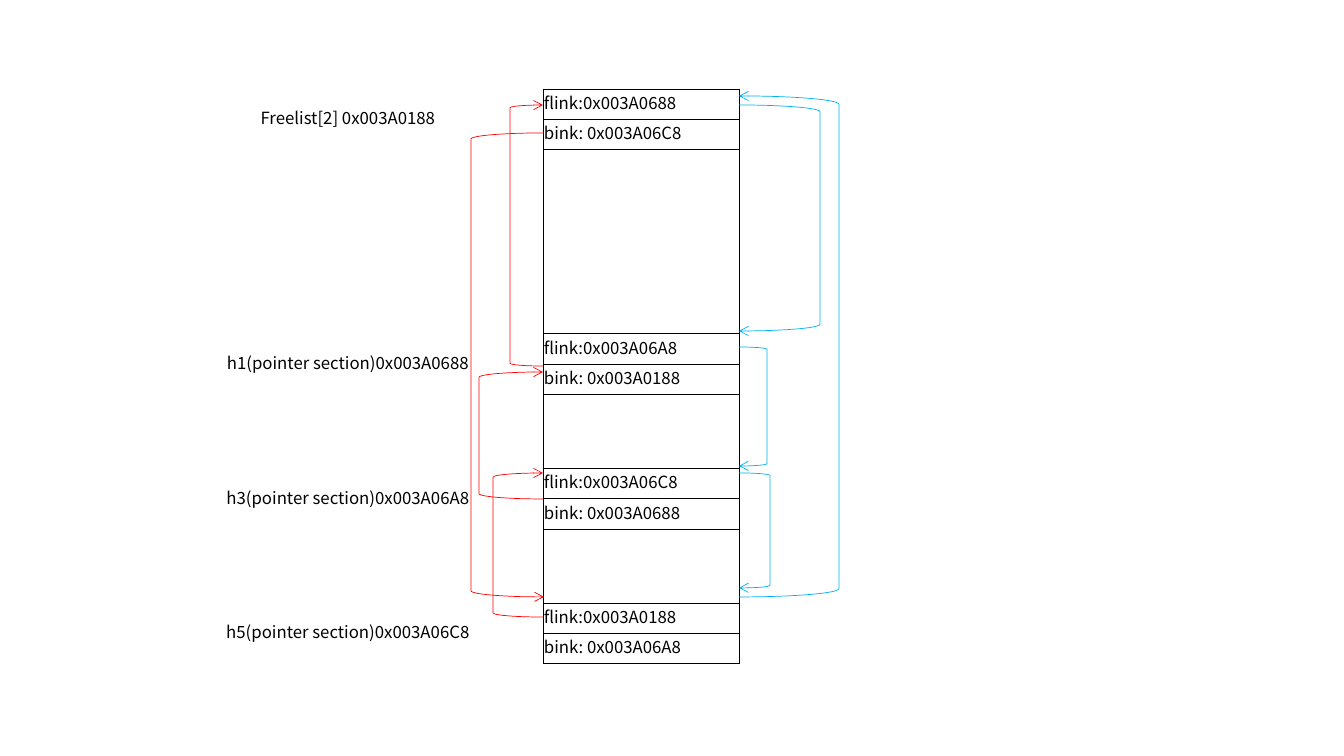
from pptx import Presentation
from pptx.dml.color import RGBColor
from pptx.enum.shapes import MSO_SHAPE
from pptx.enum.text import MSO_ANCHOR, PP_ALIGN
from pptx.oxml import parse_xml
from pptx.oxml.ns import nsdecls, qn
from pptx.util import Pt

THEME = {
    "font": "Noto Sans CJK SC", "size": Pt(12), "line": Pt(0.5),
    "ink": "000000", "flink": "00B0F0", "bink": "FF0000",
}

# label, flink, bink, empty rows below, height of that gap
NODES = [
    ("Freelist[2] 0x003A0188", "flink:0x003A0688", "bink: 0x003A06C8", 5, 184),
    ("h1(pointer section)0x003A0688", "flink:0x003A06A8", "bink: 0x003A0188", 2, 74),
    ("h3(pointer section)0x003A06A8", "flink:0x003A06C8", "bink: 0x003A0688", 2, 74),
    ("h5(pointer section)0x003A06C8", "flink:0x003A0188", "bink: 0x003A06A8", 0, 0),
]

# kind of link, left, top, width, height, arrow points down
LINKS = [
    ("bink", 510, 105, 33, 261, False),
    ("flink", 739, 347, 28, 119, True),
    ("bink", 493, 473, 50, 144, False),
    ("flink", 739, 96, 100, 501, False),
    ("bink", 479, 372, 64, 127, False),
    ("flink", 739, 473, 31, 115, True),
    ("flink", 739, 105, 81, 226, True),
    ("bink", 471, 133, 73, 464, True),
]

TABLE_LEFT, TABLE_TOP = 153, 89
COLUMNS = [195, 195, 196]
TEXT_ROW = 26
MEMORY = 2
NO_STYLE = "{2D5ABB26-0587-4C30-8999-92F81FD0307C}"


def px(n):
    """Turn slide pixels into EMU."""
    return round(n * 914400 / 100.8)


def add_borders(cell, sides):
    """Draw thin lines on the given sides of a cell."""
    tcPr = cell._tc.get_or_add_tcPr()
    for i, side in enumerate(sides):
        tcPr.insert(i, parse_xml(
            f'<a:ln{side} {nsdecls("a")} w="{THEME["line"]}"><a:solidFill>'
            f'<a:srgbClr val="{THEME["ink"]}"/></a:solidFill></a:ln{side}>'))


def format_cell(cell, sides):
    """Set insets, fill, borders and the height of the empty line."""
    cell.margin_left = cell.margin_right = cell.margin_top = px(1)
    cell.margin_bottom = px(5)
    cell.vertical_anchor = MSO_ANCHOR.MIDDLE
    cell.fill.background()
    add_borders(cell, sides)
    p = cell.text_frame.paragraphs[0]
    p._p.append(parse_xml(
        f'<a:endParaRPr {nsdecls("a")} sz="{int(THEME["size"].pt * 100)}"/>'))


def write(cell, text, align=PP_ALIGN.LEFT):
    """Write one line in a cell."""
    p = cell.text_frame.paragraphs[0]
    p.text = text
    p.alignment = align
    f = p.runs[0].font
    f.name, f.size = THEME["font"], THEME["size"]
    f.color.rgb = RGBColor.from_string(THEME["ink"])


def add_memory_table(s):
    """Build the table of list nodes and the gaps between them."""
    heights = []
    for *_, count, gap in NODES:
        heights += [TEXT_ROW] * 2 + [gap / count for _ in range(count)]
    gf = s.shapes.add_table(len(heights), len(COLUMNS), px(TABLE_LEFT), px(TABLE_TOP),
                            px(sum(COLUMNS)), px(sum(heights)))
    table = gf.table
    table.first_row = table.horz_banding = False
    table._tbl.tblPr.find(qn("a:tableStyleId")).text = NO_STYLE
    for column, width in zip(table.columns, COLUMNS):
        column.width = px(width)
    for row, height in zip(table.rows, heights):
        row.height = px(height)
        for cell, sides in zip(row.cells, ("", "R", "LRTB")):
            format_cell(cell, sides)

    top = 0
    for label, flink, bink, count, _ in NODES:
        table.cell(top, 0).merge(table.cell(top + 1, 1))
        write(table.cell(top, 0), label, PP_ALIGN.CENTER)
        write(table.cell(top, MEMORY), flink)
        write(table.cell(top + 1, MEMORY), bink)
        if count:
            table.cell(top + 2, MEMORY).merge(table.cell(top + 1 + count, MEMORY))
        top += 2 + count


def add_link(s, kind, left, top, width, height, down):
    """Add a bracket with an arrowhead from one node to another."""
    sp = s.shapes.add_shape(MSO_SHAPE.LEFT_BRACKET, px(left), px(top), px(width), px(height))
    sp.shadow.inherit = False
    sp.fill.background()
    sp.line.color.rgb = RGBColor.from_string(THEME[kind])
    sp.line.width = THEME["line"]
    sp.line._get_or_add_ln().append(
        parse_xml(f'<a:tailEnd {nsdecls("a")} type="arrow"/>'))
    xfrm = sp._element.spPr.find(qn("a:xfrm"))
    if kind == "flink":
        xfrm.set("flipH", "1")
    if down:
        xfrm.set("flipV", "1")


prs = Presentation()
prs.slide_width, prs.slide_height = px(1344), px(756)
s = prs.slides.add_slide(prs.slide_layouts[6])
add_memory_table(s)
for link in LINKS:
    add_link(s, *link)
prs.save("out.pptx")
